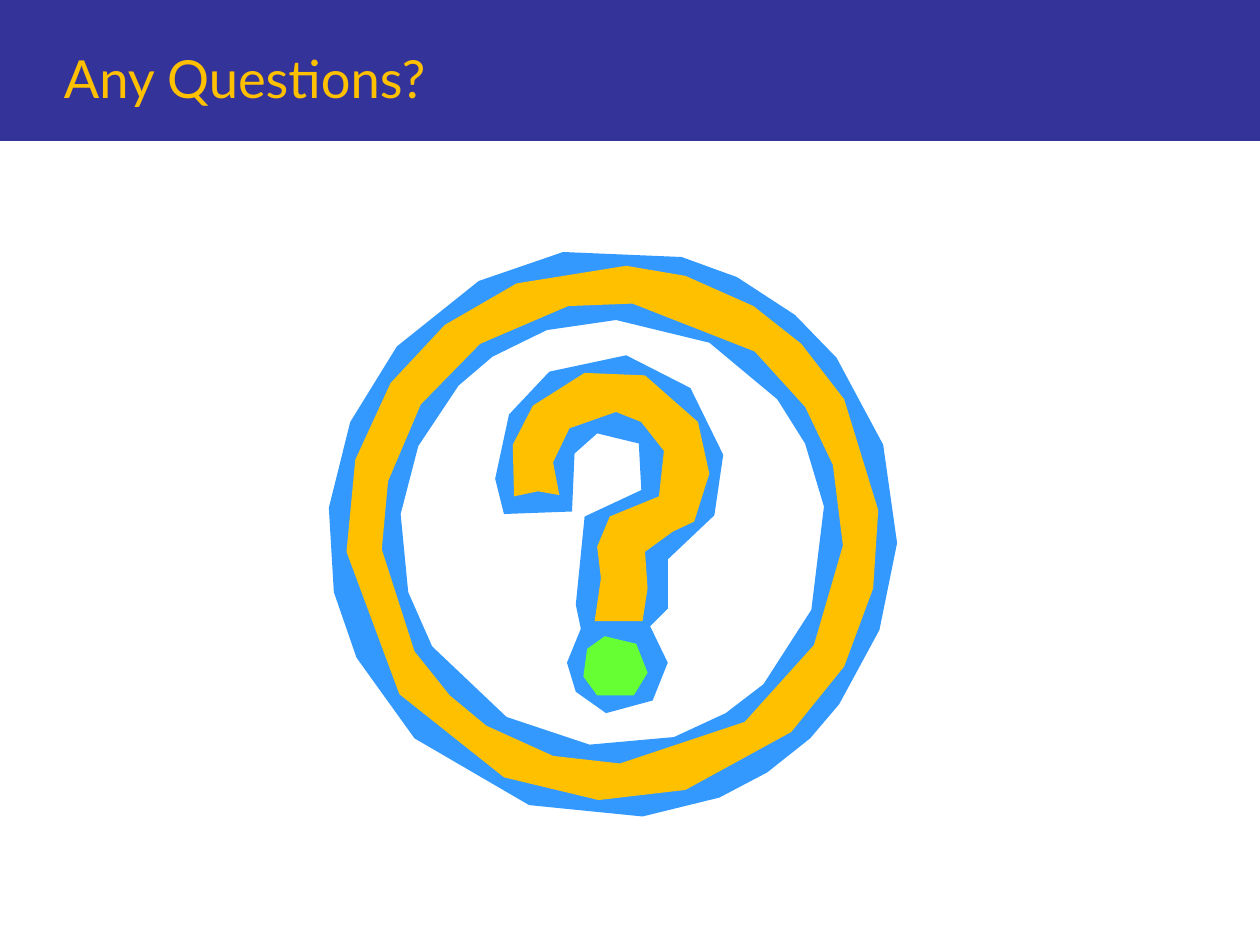
from dataclasses import dataclass
from math import cos, radians, sin

from pptx import Presentation
from pptx.dml.color import RGBColor
from pptx.enum.shapes import MSO_SHAPE
from pptx.enum.text import MSO_ANCHOR
from pptx.util import Cm, Pt


@dataclass(frozen=True)
class Theme:
    banner: RGBColor = RGBColor(0x33, 0x33, 0x99)
    gold: RGBColor = RGBColor(0xFF, 0xC0, 0x00)
    blue: RGBColor = RGBColor(0x33, 0x99, 0xFF)
    green: RGBColor = RGBColor(0x66, 0xFF, 0x33)
    font: str = "Lato"
    title_size: Pt = Pt(30)


THEME = Theme()

# The emblem is measured in hundredths of an inch.
EMBLEM_UNIT = Cm(0.0254)
RING_CENTRE = (486, 423)
BOWL_CENTRE = (484, 372)  # the curved top of the question mark
HALO_CENTRE = (490, 527)  # the blue edge around the dot
DOT_CENTRE = (488, 530)


def corners(centre, radius, *bearings):
    """Points on a circle, at bearings in degrees clockwise from the top."""
    x, y = centre
    return [
        (x + radius * sin(radians(bearing)), y - radius * cos(radians(bearing)))
        for bearing in bearings
    ]


def paint(shape, color):
    shape.shadow.inherit = False
    shape.fill.solid()
    shape.fill.fore_color.rgb = color
    shape.line.fill.background()


def add_banner(slide, width):
    banner = slide.shapes.add_shape(MSO_SHAPE.RECTANGLE, 0, 0, width, Cm(2.84))
    paint(banner, THEME.banner)


def add_title(slide, text):
    title = slide.shapes.add_textbox(Cm(1.04), Cm(0.4), Cm(23.75), Cm(1.93))
    text_frame = title.text_frame
    text_frame.word_wrap = True
    text_frame.vertical_anchor = MSO_ANCHOR.BOTTOM
    text_frame.text = text
    font = text_frame.paragraphs[0].runs[0].font
    font.name = THEME.font
    font.size = THEME.title_size
    font.color.rgb = THEME.gold


def add_outline(shapes, color, outer, hole=()):
    """Draw a closed polygon; the hole runs the opposite way round."""
    builder = shapes.build_freeform(*outer[0], scale=EMBLEM_UNIT)
    builder.add_line_segments(outer[1:], close=True)
    if hole:
        start, *rest = reversed(hole)
        builder.move_to(*start)
        builder.add_line_segments(rest, close=True)
    paint(builder.convert_to_shape(), color)


def add_mark_backing(shapes):
    bowl_outside = corners(BOWL_CENTRE, 91, 247, 265, 298, 328, 8, 45, 83, 114)
    stem_right = [(530, 444), (530, 483)]
    halo = corners(HALO_CENTRE, 40, 41, 88, 136, 193, 236, 272, 314)
    stem_left = [(457, 480), (464, 410)]
    bowl_inside = corners(BOWL_CENTRE, 30, 124, 49, 340, 293)
    tip = [(454, 406)]
    add_outline(shapes, THEME.blue,
                bowl_outside + stem_right + halo + stem_left + bowl_inside + tip)


def add_mark_hook(shapes):
    bowl_outside = corners(BOWL_CENTRE, 79, 254, 284, 309, 345, 21, 62, 93, 122)
    stem_right = [(534, 422), (512, 438), (514, 467), (510, 493)]
    stem_left = [(472, 493), (477, 459), (474, 434), (484, 410)]
    bowl_inside = corners(BOWL_CENTRE, 45, 119, 72, 34, 6, 315, 276, 242)
    tip_notch = [(427, 390)]
    add_outline(shapes, THEME.gold,
                bowl_outside + stem_right + stem_left + bowl_inside + tip_notch)


def add_mark_dot(shapes):
    add_outline(shapes, THEME.green,
                corners(DOT_CENTRE, 26, 42, 99, 146, 212, 255, 304, 343))


def add_blue_ring(shapes):
    outside = corners(RING_CENTRE, 226, 14, 26, 40, 52, 72, 92, 110, 127, 136, 147,
                      158, 174, 197, 224, 244, 258, 275, 293, 311, 332, 350)
    inside = corners(RING_CENTRE, 169, 1, 27, 51, 65, 83, 111, 135, 148, 163,
                     186, 210, 238, 254, 275, 294, 314, 326, 342)
    add_outline(shapes, THEME.blue, outside, inside)


def add_gold_ring(shapes):
    outside = corners(RING_CENTRE, 212, 3, 16, 32, 45, 60, 85, 102, 120, 138,
                      164, 183, 204, 233, 266, 286, 304, 321, 339)
    inside = corners(RING_CENTRE, 183, 5, 38, 57, 73, 93, 119, 145, 178, 195,
                     213, 225, 239, 266, 283, 304, 325, 349)
    add_outline(shapes, THEME.gold, outside, inside)


def add_question_emblem(slide):
    shapes = slide.shapes.add_group_shape().shapes
    for add_part in (add_mark_backing, add_mark_hook, add_mark_dot,
                     add_blue_ring, add_gold_ring):
        add_part(shapes)


def main():
    presentation = Presentation()
    presentation.slide_width = Cm(25.4)
    presentation.slide_height = Cm(19.05)
    slide = presentation.slides.add_slide(presentation.slide_layouts[6])
    add_banner(slide, presentation.slide_width)
    add_title(slide, "Any Questions?")
    add_question_emblem(slide)
    presentation.save("out.pptx")


if __name__ == "__main__":
    main()
